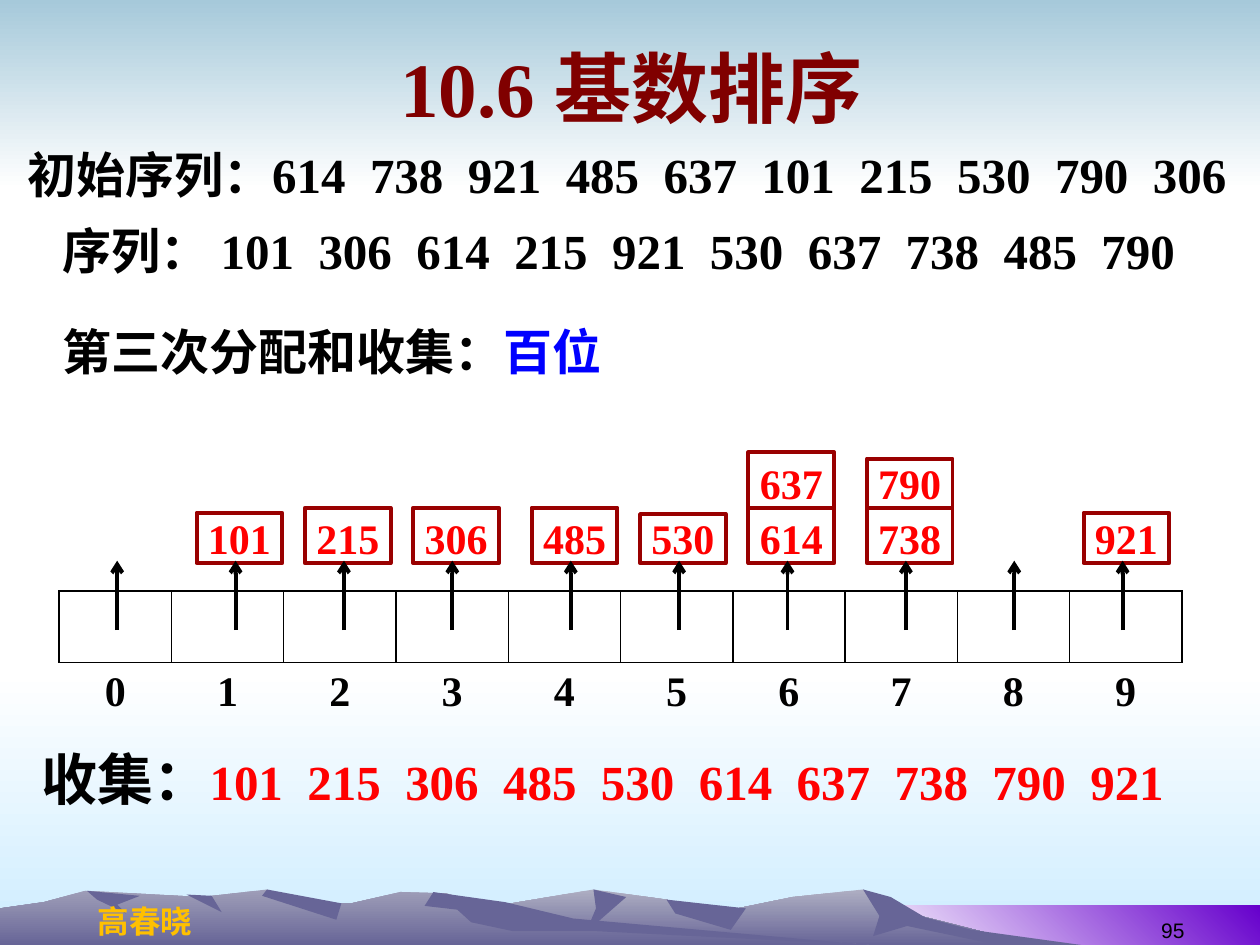
from pptx import Presentation
from pptx.dml.color import RGBColor
from pptx.enum.shapes import MSO_CONNECTOR, MSO_SHAPE
from pptx.enum.text import MSO_ANCHOR as Anchor, PP_ALIGN as Align
from pptx.oxml.ns import qn
from pptx.util import Inches, Pt
from lxml.etree import SubElement

BLACK = RGBColor.from_string("000000")
WHITE = RGBColor.from_string("FFFFFF")
RED = RGBColor.from_string("FF0000")
BLUE = RGBColor.from_string("0000FF")
MAROON = RGBColor.from_string("800000")
BOX_LINE = RGBColor.from_string("990000")
GOLD = RGBColor.from_string("FFC000")
SKY = RGBColor.from_string("A6C9DA")
PALE = RGBColor.from_string("CCECFF")
PURPLE = RGBColor.from_string("6600CC")
SHADE = RGBColor.from_string("676597")
FAR_RIDGE = RGBColor.from_string("AEAEC2")
NEAR_RIDGE = RGBColor.from_string("9F9EB8")
SERIF, SANS, CHINESE = "Times New Roman", "Arial", "Noto Sans CJK SC"

TITLE = "10.6 基数排序"
# left, top, width, height, then runs of (text, size, colour)
LINES = [
    (0.12, 1.1, 9.88, 0.53,
     [("初始序列：614  738  921  485  637  101  215  530  790  306", 28, BLACK)]),
    (0.4, 1.7, 9.38, 0.52,
     [("序列： 101  306  614  215  921  530  637  738  485  790", 28, BLACK)]),
    (0.4, 2.5, 7.24, 0.57, [("第三次分配和收集：", 28, BLACK), ("百位", 28, BLUE)]),
    (0.23, 5.86, 9.52, 0.63,
     [("收集：", 32, BLACK), ("101  215  306  485  530  614  637  738  790  921", 28, RED)]),
]
# digit: numbers stacked upwards
BUCKETS = {1: ["101"], 2: ["215"], 3: ["306"], 4: ["485"], 5: ["530"],
           6: ["614", "637"], 7: ["738", "790"], 9: ["921"]}
LOW_BOXES = {"101": 0.4, "530": 0.39, "790": 0.39, "921": 0.4}
BOX_WIDTH, BOX_HEIGHT, BUCKET_BOTTOM = 0.68, 0.44, 4.47
DIGITS = 10

# left, top, width, height, first colour, last colour, angle
BACKDROP = [
    (0, 5.33, 10, 2.17, WHITE, PALE, 270),
    (0, 0, 10, 1.5, SKY, WHITE, 270),
    (6.83, 7.19, 3.17, 0.31, WHITE, PURPLE, 45),
]
# Outlines in hundredths of an inch: colour, ridge, then its shaded slopes
RANGES = [
    (FAR_RIDGE,
     [(258, 750), (394, 719), (471, 706), (529, 714), (566, 725), (629, 712),
      (685, 706), (723, 725), (821, 750)],
     [[(685, 706), (698, 727), (693, 743), (720, 735), (792, 750), (858, 750),
       (771, 738), (734, 728), (707, 712)],
      [(471, 706), (473, 721), (465, 740), (497, 712)],
      [(529, 714), (536, 725), (580, 738), (592, 721)]]),
    (NEAR_RIDGE,
     [(0, 750), (0, 721), (35, 716), (68, 707), (160, 712), (212, 706), (236, 717),
      (279, 717), (318, 708), (354, 709), (432, 732), (690, 750)],
     [[(212, 706), (208, 711), (267, 730), (271, 717)],
      [(344, 708), (337, 719), (363, 722), (374, 732), (407, 739), (472, 739),
       (690, 750), (455, 729), (401, 716)],
      [(69, 707), (77, 714), (100, 725), (93, 718), (111, 711)],
      [(148, 710), (176, 724), (168, 711)]]),
]


def format_run(run, size, color, font=SERIF, bold=True):
    run.font.size, run.font.bold, run.font.name = Pt(size), bold, font
    run.font.color.rgb = color
    SubElement(run._r.get_or_add_rPr(), qn("a:ea")).set("typeface", CHINESE)


def fill_gradient(shape, first, last, angle):
    shape.fill.gradient()
    shape.fill.gradient_angle = angle
    for stop, color, position in zip(shape.fill.gradient_stops, (first, last), (0, 1)):
        stop.color.rgb, stop.position = color, position


def add_outline(slide, points):
    builder = slide.shapes.build_freeform(*points[0], scale=Inches(0.01))
    builder.add_line_segments(points[1:], close=True)
    shape = builder.convert_to_shape()
    shape.shadow.inherit = False
    shape.line.fill.background()
    return shape


def add_text(slide, bounds, runs, align=Align.LEFT, anchor=Anchor.TOP, wrap=True,
             font=SERIF, bold=True):
    frame = slide.shapes.add_textbox(*map(Inches, bounds)).text_frame
    frame.word_wrap, frame.vertical_anchor = wrap, anchor
    paragraph = frame.paragraphs[0]
    paragraph.alignment = align
    for text, size, color in runs:
        run = paragraph.add_run()
        run.text = text
        format_run(run, size, color, font, bold)


def draw_backdrop(slide):
    for *bounds, first, last, angle in BACKDROP:
        panel = slide.shapes.add_shape(MSO_SHAPE.RECTANGLE, *map(Inches, bounds))
        panel.shadow.inherit = False
        panel.line.fill.background()
        fill_gradient(panel, first, last, angle)
    for color, ridge, slopes in RANGES:
        fill_gradient(add_outline(slide, ridge), color, SHADE, 270)
        for slope in slopes:
            shape = add_outline(slide, slope)
            shape.fill.solid()
            shape.fill.fore_color.rgb = SHADE


def set_borders(cell, sides):
    """Draw a thin black line on the given sides (of L, R, T, B), none on the rest."""
    properties = cell._tc.get_or_add_tcPr()
    for side in "LRTB":
        line = SubElement(properties, qn(f"a:ln{side}"), w=str(Pt(1)))
        if side in sides:
            fill = SubElement(line, qn("a:solidFill"))
            SubElement(fill, qn("a:srgbClr"), val=str(BLACK))
        else:
            SubElement(line, qn("a:noFill"))
    cell.fill.background()


def add_digit_table(slide):
    table = slide.shapes.add_table(
        2, DIGITS, *map(Inches, (0.47, 4.69, 8.91, 1.03))).table
    table.first_row = table.horz_banding = False
    table.rows[0].height, table.rows[1].height = Inches(0.57), Inches(0.46)
    for digit in range(DIGITS):
        set_borders(table.cell(0, digit), "LRTB")
        label = table.cell(1, digit)
        set_borders(label, "T")
        label.text_frame.text = str(digit)
        paragraph = label.text_frame.paragraphs[0]
        paragraph.alignment = Align.CENTER
        format_run(paragraph.runs[0], 24, BLACK)


def add_number_box(slide, number, left, top, height):
    box = slide.shapes.add_shape(
        MSO_SHAPE.RECTANGLE, *map(Inches, (left, top, BOX_WIDTH, height)))
    box.shadow.inherit = False
    box.fill.background()
    box.line.color.rgb, box.line.width = BOX_LINE, Pt(2.25)
    frame = box.text_frame
    frame.margin_left = frame.margin_right = frame.margin_top = frame.margin_bottom = 0
    frame.word_wrap, frame.vertical_anchor = False, Anchor.BOTTOM
    frame.text = number
    frame.paragraphs[0].alignment = Align.CENTER
    format_run(frame.paragraphs[0].runs[0], 24, RED)


def add_arrow(slide, x):
    arrow = slide.shapes.add_connector(
        MSO_CONNECTOR.STRAIGHT, *map(Inches, (x, 5, x, 4.45)))
    arrow.line.color.rgb, arrow.line.width = BLACK, Pt(2.25)
    SubElement(arrow.line._get_or_add_ln(), qn("a:tailEnd"), type="arrow")
    SubElement(arrow._element.spPr, qn("a:effectLst"))


def main():
    presentation = Presentation()
    presentation.slide_width, presentation.slide_height = Inches(10), Inches(7.5)
    slide = presentation.slides.add_slide(presentation.slide_layouts[5])
    draw_backdrop(slide)

    title = slide.shapes.title
    title.left, title.top, title.width, title.height = map(Inches, (0.51, 0.13, 9, 1.12))
    title.text_frame.text = TITLE
    title.text_frame.vertical_anchor = Anchor.MIDDLE
    title.text_frame.paragraphs[0].alignment = Align.CENTER
    format_run(title.text_frame.paragraphs[0].runs[0], 44, MAROON)
    slide.shapes._spTree.append(title._element)  # in front of the backdrop

    add_text(slide, (0.67, 7.11, 0.96, 0.4), [("高春晓", 18, GOLD)], Align.CENTER,
             wrap=False, font=CHINESE)
    add_text(slide, (7.17, 7.03, 2.33, 0.5), [("95", 12, BLACK)], Align.RIGHT,
             Anchor.BOTTOM, font=SANS, bold=False)
    for *bounds, runs in LINES:
        add_text(slide, bounds, runs)

    add_digit_table(slide)
    for digit in range(DIGITS):
        x = 0.93 + 0.86 * digit + 0.08 * ((digit + 2) // 3)  # wider gap every third
        top = BUCKET_BOTTOM
        for number in BUCKETS.get(digit, []):
            height = LOW_BOXES.get(number, BOX_HEIGHT)
            top -= height
            add_number_box(slide, number, x - 0.31, top, height)
        add_arrow(slide, x)
    presentation.save("out.pptx")


if __name__ == "__main__":
    main()
